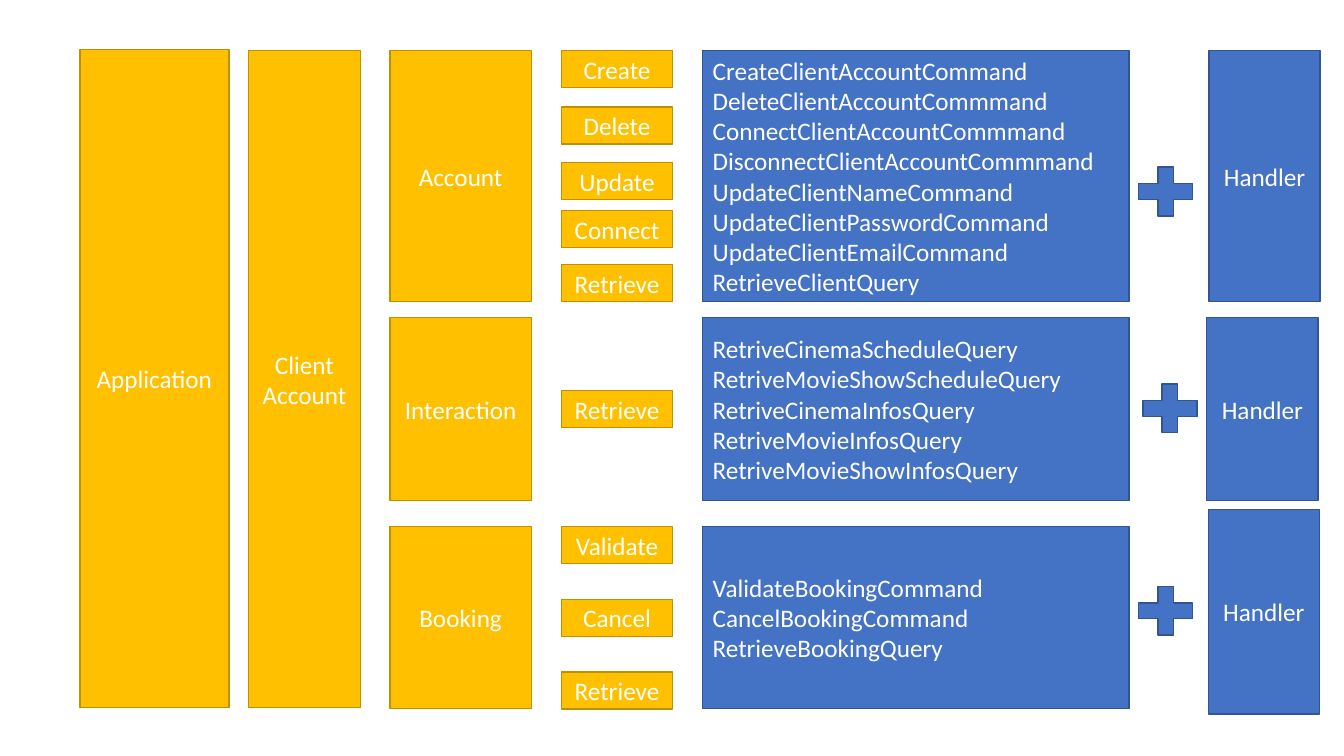
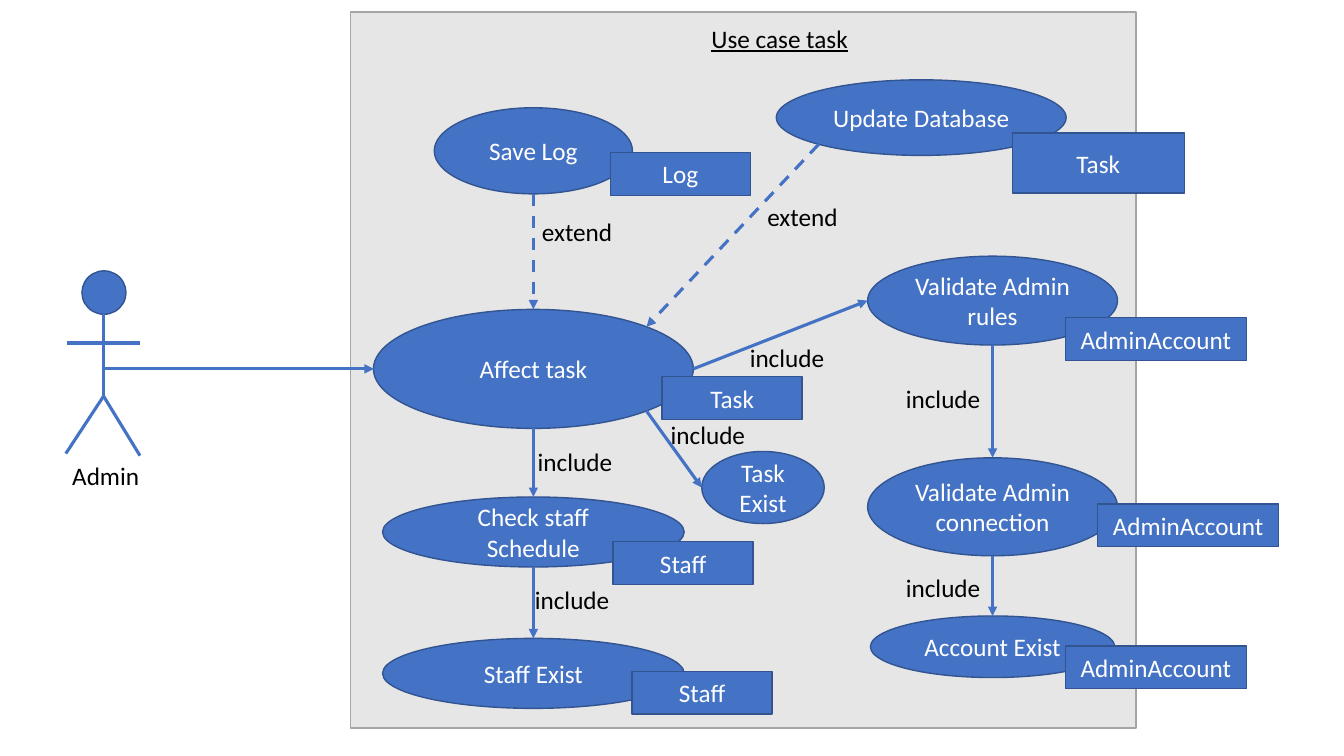
"""Build two slides: a command breakdown of the application and a task use case diagram."""
from math import sqrt

from lxml.etree import SubElement
from pptx import Presentation
from pptx.dml.color import RGBColor
from pptx.enum.dml import MSO_LINE
from pptx.enum.shapes import MSO_CONNECTOR, MSO_SHAPE as SHAPE
from pptx.enum.text import MSO_ANCHOR as ANCHOR, MSO_AUTO_SIZE, PP_ALIGN as ALIGN
from pptx.oxml.ns import qn
from pptx.util import Pt

COLORS = {
    "blue": "4472C4",
    "blue edge": "325491",
    "gold": "FFC000",
    "gold edge": "BF9000",
    "gray": "E7E6E6",
    "gray edge": "A5A5A5",
    "white": "FFFFFF",
    "black": "000000",
}
FONT = "Calibri"
TEXT_SIZE = 18


def write_text(frame, text, color="white", align=ALIGN.CENTER, anchor=ANCHOR.MIDDLE, underline=None):
    """Fill a text frame, one paragraph for each line of the text."""
    frame.word_wrap = True
    frame.auto_size = MSO_AUTO_SIZE.NONE
    frame.vertical_anchor = anchor
    frame.text = text
    for paragraph in frame.paragraphs:
        paragraph.alignment = align
        font = paragraph.font
        font.name = FONT
        font.size = Pt(TEXT_SIZE)
        font.bold = False
        font.underline = underline
        font.color.rgb = RGBColor.from_string(COLORS[color])


def add_box(slide, kind, left, top, width, height, text="", fill="blue", **text_format):
    """Add a filled and outlined preset shape, with text if there is any."""
    shape = slide.shapes.add_shape(kind, Pt(left), Pt(top), Pt(width), Pt(height))
    shape.shadow.inherit = False
    shape.fill.solid()
    shape.fill.fore_color.rgb = RGBColor.from_string(COLORS[fill])
    shape.line.color.rgb = RGBColor.from_string(COLORS[fill + " edge"])
    shape.line.width = Pt(1)
    if text:
        write_text(shape.text_frame, text, **text_format)
    return shape


presentation = Presentation()
presentation.slide_width = Pt(960)
presentation.slide_height = Pt(540)
title_only, blank = presentation.slide_layouts[5], presentation.slide_layouts[6]

slide = presentation.slides.add_slide(blank)
add_box(slide, SHAPE.RECTANGLE, 57, 35.5, 106.5, 470, "Application", "gold")
add_box(slide, SHAPE.RECTANGLE, 177.5, 36, 80, 469.5, "Client Account", "gold")

groups = [
    {
        "name": "Account", "top": 36, "height": 179.5,
        "actions": [("Create", 36), ("Delete", 76.5), ("Update", 116),
                    ("Connect", 150.5), ("Retrieve", 189)],
        "messages": ["CreateClientAccountCommand", "DeleteClientAccountCommmand",
                     "ConnectClientAccountCommmand", "DisconnectClientAccountCommmand",
                     "UpdateClientNameCommand", "UpdateClientPasswordCommand",
                     "UpdateClientEmailCommand", "RetrieveClientQuery"],
        "plus": (806.5, 113), "handler": (863.5, 36, 179.5),
    },
    {
        "name": "Interaction", "top": 227, "height": 130.5,
        "actions": [("Retrieve", 279)],
        "messages": ["RetriveCinemaScheduleQuery", "RetriveMovieShowScheduleQuery",
                     "RetriveCinemaInfosQuery", "RetriveMovieInfosQuery",
                     "RetriveMovieShowInfosQuery"],
        "plus": (809.5, 268), "handler": (862, 227, 130.5),
    },
    {
        "name": "Booking", "top": 376, "height": 130,
        "actions": [("Validate", 376), ("Cancel", 428), ("Retrieve", 480)],
        "messages": ["ValidateBookingCommand", "CancelBookingCommand", "RetrieveBookingQuery"],
        "plus": (806.5, 412.5), "handler": (863, 364, 146),
    },
]
for group in groups:
    top, height = group["top"], group["height"]
    add_box(slide, SHAPE.RECTANGLE, 278.5, top, 101, height, group["name"], "gold")
    for action, action_top in group["actions"]:
        add_box(slide, SHAPE.RECTANGLE, 401, action_top, 79.5, 26.5, action, "gold")
    add_box(slide, SHAPE.RECTANGLE, 502, top, 304.5, height, "\n".join(group["messages"]),
            align=ALIGN.LEFT)
    add_box(slide, SHAPE.MATH_PLUS, *group["plus"], 52.5, 47.5)
    handler_left, handler_top, handler_height = group["handler"]
    add_box(slide, SHAPE.RECTANGLE, handler_left, handler_top, 79.5, handler_height, "Handler")

slide = presentation.slides.add_slide(title_only)
boundary = add_box(slide, SHAPE.RECTANGLE, 250.5, 8.5, 561, 511.5, fill="gray")
title = slide.shapes.title
title.left, title.top, title.width, title.height = Pt(501), Pt(13), Pt(147.5), Pt(29)
write_text(title.text_frame, "Use case task", color="black", align=ALIGN.LEFT,
           anchor=ANCHOR.TOP, underline=True)
boundary.element.addnext(title.element)

LEFT_AXIS, RIGHT_AXIS = 381, 709
use_cases = {
    "Affect task": (LEFT_AXIS, 221, 228.5, 85),
    "Save Log": (LEFT_AXIS, 77, 141.5, 61.5),
    "Check staff Schedule": (LEFT_AXIS, 355, 215.5, 50),
    "Staff Exist": (LEFT_AXIS, 456, 215.5, 50),
    "Update Database": (658, 57, 207, 54),
    "Task Exist": (545, 322.5, 87.5, 51.5),
    "Validate Admin rules": (RIGHT_AXIS, 183, 178.5, 63.5),
    "Validate Admin connection": (RIGHT_AXIS, 327, 178.5, 70),
    "Account Exist": (RIGHT_AXIS, 440, 174.5, 44),
}
ellipses = {}
for name, (center, top, width, height) in use_cases.items():
    ellipses[name] = add_box(slide, SHAPE.OVAL, center - width / 2, top, width, height, name)
add_box(slide, SHAPE.OVAL, 58.5, 193.5, 31.5, 31)

DIAGONAL = 1 / sqrt(2)
TOP, BOTTOM, LEFT, RIGHT = (0, -1), (0, 1), (-1, 0), (1, 0)
TOP_RIGHT, BOTTOM_LEFT = (DIAGONAL, -DIAGONAL), (-DIAGONAL, DIAGONAL)
BOTTOM_RIGHT = (DIAGONAL, DIAGONAL)
links = [
    ("Save Log", BOTTOM, "Affect task", TOP, True),
    ("Update Database", BOTTOM_LEFT, "Affect task", TOP_RIGHT, True),
    ("Affect task", RIGHT, "Validate Admin rules", LEFT, False),
    ("Affect task", BOTTOM_RIGHT, "Task Exist", LEFT, False),
    ("Affect task", BOTTOM, "Check staff Schedule", TOP, False),
    ("Check staff Schedule", BOTTOM, "Staff Exist", TOP, False),
    ("Validate Admin rules", BOTTOM, "Validate Admin connection", TOP, False),
    ("Validate Admin connection", BOTTOM, "Account Exist", TOP, False),
]
strokes = [
    ((74, 224.5), (74, 284), False, False, None),
    ((48, 245), (100, 245), False, False, None),
    ((74, 283), (100, 325.5), False, False, None),
    ((74, 283), (47, 324), False, False, None),
    ((74, 263.5), (267, 263.5), True, False, None),
]
for source, source_side, target, target_side, dashed in links:
    ends = []
    for name, (across, down) in ((source, source_side), (target, target_side)):
        center, top, width, height = use_cases[name]
        ends.append((center + across * width / 2, top + (1 + down) * height / 2))
    joined = ellipses[target] if target_side == TOP else None
    strokes.append((*ends, True, dashed, joined))

for start, end, arrow, dashed, joined in strokes:
    connector = slide.shapes.add_connector(
        MSO_CONNECTOR.STRAIGHT, *(Pt(value) for value in start + end))
    connector.line.color.rgb = RGBColor.from_string(COLORS["blue"])
    connector.line.width = Pt(2.25)
    if dashed:
        connector.line.dash_style = MSO_LINE.DASH
    if joined is not None:
        connector.end_connect(joined, 0)
    properties = connector.element.spPr
    if arrow:
        SubElement(properties.find(qn("a:ln")), qn("a:tailEnd"), type="triangle")
    SubElement(properties, qn("a:effectLst"))

labels = [
    ("Admin", 44.5, 325.5),
    ("extend", 380, 151),
    ("extend", 541, 140),
    ("include", 528.5, 241),
    ("include", 472, 296),
    ("include", 377, 315.5),
    ("include", 375, 413.5),
    ("include", 640, 270),
    ("include", 640, 405),
]
for text, left, top in labels:
    label = slide.shapes.add_textbox(Pt(left), Pt(top), Pt(80), Pt(29))
    write_text(label.text_frame, text, color="black", align=ALIGN.LEFT, anchor=ANCHOR.TOP)

entities = [
    ("Log", 436, 109, 100, 30.5),
    ("Task", 723, 95, 123, 43),
    ("Task", 473, 269, 100, 30.5),
    ("Staff", 438, 387, 100, 30.5),
    ("Staff", 451.5, 479.5, 100, 30.5),
    ("AdminAccount", 761, 227, 129.5, 30.5),
    ("AdminAccount", 784, 360, 129.5, 30.5),
    ("AdminAccount", 761, 461.5, 129.5, 30.5),
]
for text, *position in entities:
    add_box(slide, SHAPE.RECTANGLE, *position, text)

presentation.save("out.pptx")
